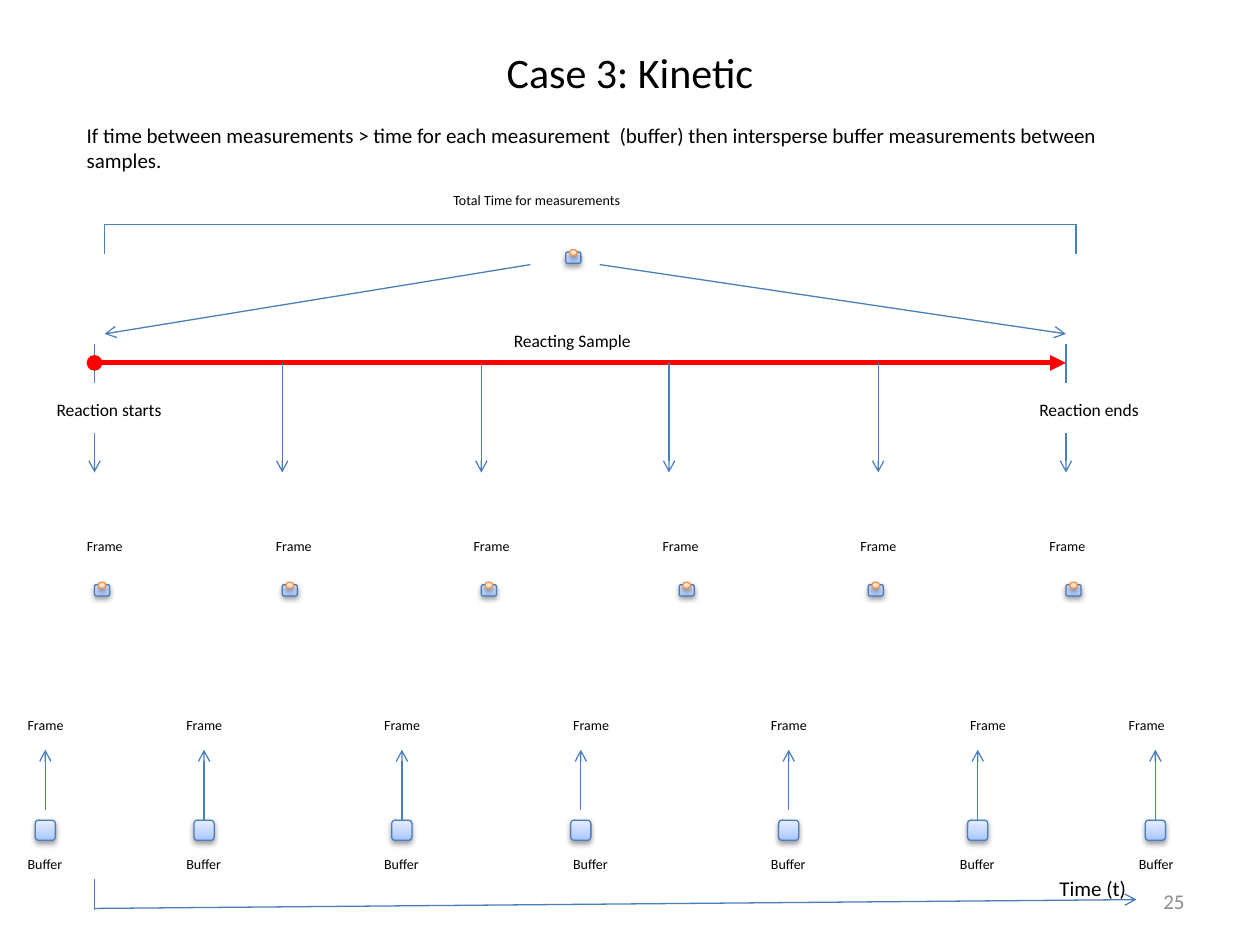
from dataclasses import dataclass
from typing import Any, NamedTuple

import lxml.etree
import pptx
import pptx.dml.color
import pptx.enum.shapes
import pptx.enum.text
import pptx.oxml.ns
import pptx.util

Inches = pptx.util.Inches
Pt = pptx.util.Pt
Shape = pptx.enum.shapes.MSO_SHAPE
Align = pptx.enum.text.PP_ALIGN
Anchor = pptx.enum.text.MSO_ANCHOR
Fit = pptx.enum.text.MSO_AUTO_SIZE
qn = pptx.oxml.ns.qn


@dataclass(frozen=True)
class Theme:
    font: str = "Calibri"
    ink: str = "000000"
    gray: str = "8C8C8C"
    blue: str = "4B7EBC"
    orange: str = "F69240"
    red: str = "FF0000"
    cool: tuple = ("A4C4FF", "BFD4FF", "E6EEFF")
    warm: tuple = ("FFD2BD", "FFDED0", "FFF2ED")
    stops: tuple = (0, 35, 100)
    title: float = 24
    body: float = 12
    label: float = 10
    small: float = 8
    thin: float = 0.75
    thick: float = 3


class Label(NamedTuple):
    text: str
    left: float
    top: float
    width: float
    height: float
    size: float
    wrap: bool = True


class Sample(NamedTuple):
    drop: float
    start: float
    frame: float
    cell: float


class Buffer(NamedTuple):
    box: float
    frame: float
    label: float
    joined: bool


THEME = Theme()
AXIS = 2.88
START, END = 0.75, 8.46
LEFT, RIGHT = 0.83, 8.54

LABELS = [
    Label("If time between measurements > time for each measurement  (buffer) "
          "then intersperse buffer measurements between samples.",
          0.59, 0.92, 8.74, 0.5, THEME.body),
    Label("Time (t)", 8.31, 6.9, 0.79, 0.3, THEME.body),
    Label("Reaction starts", 0.35, 3.12, 1.18, 0.27, THEME.label),
    Label("Reaction ends", 8.15, 3.12, 1.1, 0.27, THEME.label),
    Label("Reacting Sample", 3.98, 2.57, 1.26, 0.27, THEME.label),
    Label("Total Time for measurements", 3.5, 1.47, 1.55, 0.24, THEME.small, False),
]
SAMPLES = [
    Sample(START, 3.44, 0.59, 0.75),
    Sample(2.24, AXIS, 2.09, 2.24),
    Sample(3.82, AXIS, 3.66, 3.82),
    Sample(5.31, AXIS, 5.16, 5.39),
    Sample(6.97, AXIS, 6.73, 6.89),
    Sample(END, 3.44, 8.23, 8.46),
]
BUFFERS = [
    Buffer(0.28, 0.12, 0.12, False),
    Buffer(1.54, 1.38, 1.38, True),
    Buffer(3.11, 2.95, 2.95, True),
    Buffer(4.53, 4.45, 4.45, False),
    Buffer(6.18, 6.02, 6.02, False),
    Buffer(7.68, 7.6, 7.52, True),
    Buffer(9.09, 8.86, 8.94, True),
]


def rgb(code: str) -> Any:
    return pptx.dml.color.RGBColor.from_string(code)


def style(frame: Any, text: str, size: float, color: str, align: Any) -> None:
    frame.text = text
    frame.word_wrap = True
    para = frame.paragraphs[0]
    para.alignment = align
    font = para.runs[0].font
    font.name, font.size = THEME.font, Pt(size)
    font.color.rgb = rgb(color)


def write(shapes: Any, item: Label) -> None:
    box = shapes.add_textbox(*map(Inches, item[1:5]))
    style(box.text_frame, item.text, item.size, THEME.ink, Align.LEFT)
    box.text_frame.word_wrap = item.wrap
    box.text_frame.auto_size = Fit.SHAPE_TO_FIT_TEXT


def tag(shapes: Any, text: str, left: float, top: float) -> None:
    write(shapes, Label(text, left, top, 0.55, 0.24, THEME.small))


def draw(shapes: Any, x1: float, y1: float, x2: float, y2: float, tail: str = "",
         head: str = "", color: str = THEME.blue, width: float = THEME.thin) -> Any:
    kind = pptx.enum.shapes.MSO_CONNECTOR.STRAIGHT
    link = shapes.add_connector(kind, *map(Inches, (x1, y1, x2, y2)))
    link.line.color.rgb = rgb(color)
    link.line.width = Pt(width)
    props = link._element.spPr
    for name, mark in (("a:headEnd", head), ("a:tailEnd", tail)):
        if mark:
            lxml.etree.SubElement(props.find(qn("a:ln")), qn(name), type=mark)
    lxml.etree.SubElement(props, qn("a:effectLst"))
    return link


def solid(shapes: Any, kind: Any, left: float, top: float, width: float,
          height: float, tones: tuple, edge: str) -> Any:
    shape = shapes.add_shape(kind, *map(Inches, (left, top, width, height)))
    shape.fill.gradient()
    shape.fill.gradient_angle = 90
    shape.line.color.rgb = rgb(edge)
    shape.line.width = Pt(THEME.thin)
    shape.shadow.inherit = False
    props = shape._element.spPr
    stops = props.find(qn("a:gradFill")).find(qn("a:gsLst"))
    for old in list(stops):
        stops.remove(old)
    for spot, tone in zip(THEME.stops, tones):
        stop = lxml.etree.SubElement(stops, qn("a:gs"), pos=str(spot * 1000))
        lxml.etree.SubElement(stop, qn("a:srgbClr"), val=tone)
    shade = lxml.etree.SubElement(
        props.find(qn("a:effectLst")), qn("a:outerShdw"), blurRad=str(Pt(3.1)),
        dist=str(Pt(1.6)), dir="5400000", rotWithShape="0")
    tint = lxml.etree.SubElement(shade, qn("a:srgbClr"), val=THEME.ink)
    lxml.etree.SubElement(tint, qn("a:alpha"), val="38000")
    return shape


def cell(shapes: Any, left: float, top: float) -> None:
    group = shapes.add_group_shape().shapes
    solid(group, Shape.ROUNDED_RECTANGLE, left, top, 0.12, 0.09, THEME.cool, THEME.blue)
    solid(group, Shape.OVAL, left + 0.03, top - 0.02, 0.06, 0.05, THEME.warm, THEME.orange)


def sample(shapes: Any, item: Sample) -> None:
    draw(shapes, item.drop, item.start, item.drop, 3.75, "arrow")
    tag(shapes, "Frame", item.frame, 4.22)
    cell(shapes, item.cell, 4.64)


def buffer(shapes: Any, item: Buffer) -> None:
    box = solid(shapes, Shape.ROUNDED_RECTANGLE, item.box, 6.51, 0.16, 0.16,
                THEME.cool, THEME.blue)
    mid = item.box + 0.08
    link = draw(shapes, mid, 6.43, mid, 5.95, "arrow")
    if item.joined:
        link.begin_connect(box, 0)
    tag(shapes, "Frame", item.frame, 5.64)
    tag(shapes, "Buffer", item.label, 6.74)


def main() -> None:
    deck = pptx.Presentation()
    deck.slide_width, deck.slide_height = Inches(10), Inches(7.5)
    slide = deck.slides.add_slide(deck.slide_layouts[5])
    shapes = slide.shapes

    title = shapes.title
    title.left, title.top, title.width, title.height = map(Inches, (0.5, 0.3, 9, 0.54))
    style(title.text_frame, "Case 3: Kinetic", THEME.title, THEME.ink, Align.CENTER)
    title.text_frame.vertical_anchor = Anchor.MIDDLE

    page = shapes.add_textbox(*map(Inches, (7.17, 6.95, 2.33, 0.4)))
    style(page.text_frame, "25", THEME.body, THEME.gray, Align.RIGHT)
    page.text_frame.vertical_anchor = Anchor.MIDDLE

    for x in (START, END):
        draw(shapes, x, 2.73, x, 3.04)
    draw(shapes, START, AXIS, END, AXIS, "triangle", "oval", THEME.red, THEME.thick)
    draw(shapes, 4.21, 2.1, LEFT, 2.65, "arrow")
    draw(shapes, 4.76, 2.1, END, 2.65, "arrow")
    draw(shapes, START, 7.21, 9.02, 7.14, "arrow")
    draw(shapes, START, 7.22, START, 6.98)

    span = shapes.add_group_shape().shapes
    for x in (LEFT, RIGHT):
        draw(span, x, 2.02, x, 1.78)
    draw(span, RIGHT, 1.78, LEFT, 1.78)

    cell(shapes, 4.49, 2)
    for item in LABELS:
        write(shapes, item)
    for item in SAMPLES:
        sample(shapes, item)
    for item in BUFFERS:
        buffer(shapes, item)
    deck.save("out.pptx")


if __name__ == "__main__":
    main()
